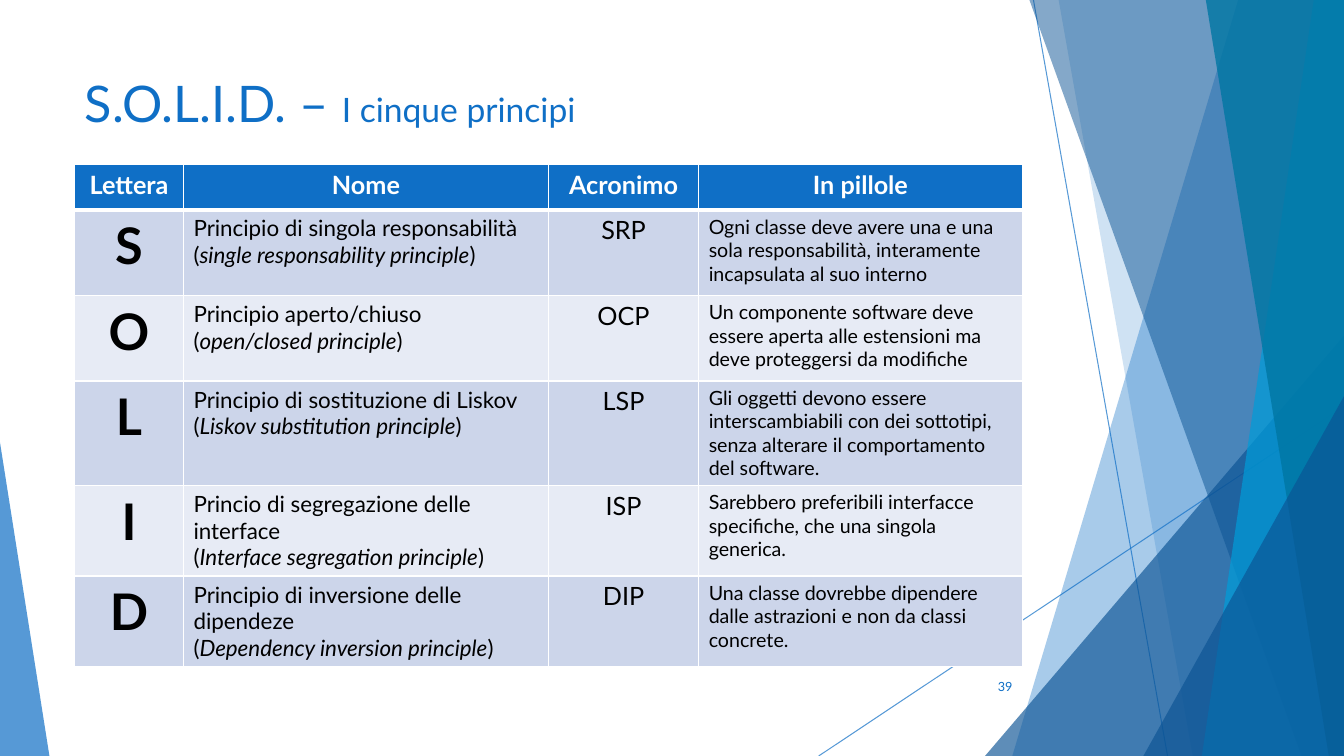
"""Build the slide that lists the five S.O.L.I.D. principles."""
from dataclasses import dataclass

from lxml import etree
from pptx import Presentation
from pptx import util as u
from pptx.dml import color
from pptx.enum import shapes, text
from pptx.oxml import ns

COLORS = {"blue": "0F6FC6", "navy": "0B5394", "sky": "009DD9", "teal": "0076A3",
          "white": "FFFFFF", "black": "000000", "odd": "CCD5EA", "even": "E7EBF5"}
FONT = "Lato"
WIDTH, HEIGHT = 13.33, 7.5
LEFT, CONTENT_WIDTH = 0.74, 9.4
HEADERS = ("Lettera", "Nome", "Acronimo", "In pillole")
COLUMN_WIDTHS = (1.08, 3.62, 1.49, 3.21)
HEADER_HEIGHT, ROW_HEIGHT = 0.45, 0.85


@dataclass
class Ray:
    """A thin line across the background."""
    begin: tuple[float, float]
    end: tuple[float, float]


@dataclass
class Band:
    """A band from its top left and bottom left corners to the right edge."""
    top: float
    bottom: float
    color: str
    opacity: int


@dataclass
class Wedge:
    """A triangle standing on the bottom edge."""
    left: float
    top: float
    width: float
    apex: float
    color: str
    opacity: int


@dataclass
class Principle:
    """One row of the table."""
    letter: str
    name: str
    english: str
    acronym: str
    summary: str


BACKGROUND = (
    Ray((10.25, 0), (11.58, HEIGHT)),
    Ray((WIDTH, 4.03), (8.12, HEIGHT)),
    Band(12.28, 10.04, "blue", 36),
    Band(10.5, 11.83, "blue", 20),
    Wedge(9.77, 3.33, 3.56, 1, "navy", 66),
    Band(10.21, 12.91, "navy", 50),
    Band(13.03, 11.92, "sky", 70),
    Band(11.96, 13.18, "teal", 80),
    Wedge(11.34, 3.93, 1.99, 1, "navy", 66),
    Wedge(0, 4.39, 0.49, 0, "blue", 70),
)
PRINCIPLES = (
    Principle("S", "Principio di singola responsabilità", "single responsability principle", "SRP",
              "Ogni classe deve avere una e una sola responsabilità, interamente "
              "incapsulata al suo interno"),
    Principle("O", "Principio aperto/chiuso", "open/closed principle", "OCP",
              "Un componente software deve essere aperta alle estensioni ma deve "
              "proteggersi da modifiche"),
    Principle("L", "Principio di sostituzione di Liskov", "Liskov substitution principle", "LSP",
              "Gli oggetti devono essere interscambiabili con dei sottotipi, senza "
              "alterare il comportamento del software."),
    Principle("I", "Princio di segregazione delle interface", "Interface segregation principle",
              "ISP", "Sarebbero preferibili interfacce specifiche, che una singola generica."),
    Principle("D", "Principio di inversione delle dipendeze", "Dependency inversion principle",
              "DIP", "Una classe dovrebbe dipendere dalle astrazioni e non da classi concrete."),
)


def rgb(name: str) -> color.RGBColor:
    """Return a named colour."""
    return color.RGBColor.from_string(COLORS[name])


def set_opacity(shape, percent: int) -> None:
    """Make the colours of a shape see-through."""
    for element in shape.element.spPr.iter(ns.qn("a:srgbClr")):
        etree.SubElement(element, ns.qn("a:alpha"), val=str(percent * 1000))


def draw_ray(slide, ray: Ray) -> None:
    """Draw a thin background line."""
    points = [u.Inches(value) for value in ray.begin + ray.end]
    connector = slide.shapes.add_connector(shapes.MSO_CONNECTOR.STRAIGHT, *points)
    connector.line.color.rgb = rgb("blue")
    connector.line.width = u.Pt(0.75)
    set_opacity(connector, 70)
    etree.SubElement(connector.element.spPr, ns.qn("a:effectLst"))


def draw_facet(slide, facet: Band | Wedge) -> None:
    """Draw a see-through background band or triangle."""
    if isinstance(facet, Band):
        corners = [(WIDTH, 0), (WIDTH, HEIGHT), (facet.bottom, HEIGHT)]
        builder = slide.shapes.build_freeform(u.Inches(facet.top), 0)
        builder.add_line_segments([(u.Inches(x), u.Inches(y)) for x, y in corners])
        shape = builder.convert_to_shape()
    else:
        shape = slide.shapes.add_shape(
            shapes.MSO_SHAPE.ISOSCELES_TRIANGLE, u.Inches(facet.left), u.Inches(facet.top),
            u.Inches(facet.width), u.Inches(HEIGHT - facet.top))
        shape.adjustments[0] = facet.apex
    shape.shadow.inherit = False
    shape.fill.solid()
    shape.fill.fore_color.rgb = rgb(facet.color)
    shape.line.fill.background()
    set_opacity(shape, facet.opacity)


def add_run(paragraph, words: str, size: float, color_name: str,
            bold: bool = False, italic: bool = False) -> None:
    """Add a formatted run to a paragraph."""
    run = paragraph.add_run()
    run.text = words
    run.font.name = FONT
    run.font.size = u.Pt(size)
    run.font.bold = bold
    run.font.italic = italic
    run.font.color.rgb = rgb(color_name)


def style_cell(cell, fill: str, top: float, bottom: float) -> None:
    """Fill a cell and give it white borders."""
    cell.fill.solid()
    cell.fill.fore_color.rgb = rgb(fill)
    properties = cell._tc.get_or_add_tcPr()
    widths = {"lnL": 1, "lnR": 1, "lnT": top, "lnB": bottom}
    for index, (side, width) in enumerate(widths.items()):
        border = etree.Element(ns.qn(f"a:{side}"), w=str(u.Pt(width)))
        solid = etree.SubElement(border, ns.qn("a:solidFill"))
        etree.SubElement(solid, ns.qn("a:srgbClr"), val=COLORS["white"])
        properties.insert(index, border)


def draw_table(slide) -> None:
    """Draw the table of principles."""
    height = HEADER_HEIGHT + ROW_HEIGHT * len(PRINCIPLES)
    table = slide.shapes.add_table(
        len(PRINCIPLES) + 1, len(HEADERS), u.Inches(LEFT), u.Inches(1.63),
        u.Inches(CONTENT_WIDTH), u.Inches(height)).table
    for column, width in zip(table.columns, COLUMN_WIDTHS):
        column.width = u.Inches(width)
    for index, row in enumerate(table.rows):
        row.height = u.Inches(ROW_HEIGHT if index else HEADER_HEIGHT)
        fill = ("even", "odd")[index % 2] if index else "blue"
        for cell in row.cells:
            style_cell(cell, fill, 3 if index == 1 else 1, 1 if index else 3)
    for cell, header in zip(table.rows[0].cells, HEADERS):
        paragraph = cell.text_frame.paragraphs[0]
        paragraph.alignment = text.PP_ALIGN.CENTER
        add_run(paragraph, header, 18, "white", bold=True)
    for index, principle in enumerate(PRINCIPLES, start=1):
        letter, name, acronym, summary = (
            cell.text_frame.paragraphs[0] for cell in table.rows[index].cells)
        letter.alignment = acronym.alignment = text.PP_ALIGN.CENTER
        add_run(letter, principle.letter, 36, "black", bold=True)
        add_run(name, principle.name, 16, "black")
        name.add_line_break()
        add_run(name, "(", 16, "black")
        add_run(name, principle.english, 16, "black", italic=True)
        add_run(name, ")", 16, "black")
        add_run(acronym, principle.acronym, 18, "black")
        add_run(summary, principle.summary, 14, "black")


def main() -> None:
    """Build and save the presentation."""
    presentation = Presentation()
    presentation.slide_width, presentation.slide_height = u.Inches(WIDTH), u.Inches(HEIGHT)
    slide = presentation.slides.add_slide(presentation.slide_layouts[5])
    for item in BACKGROUND:
        if isinstance(item, Ray):
            draw_ray(slide, item)
        else:
            draw_facet(slide, item)

    title = slide.shapes.title
    title.left, title.top = u.Inches(LEFT), u.Inches(0.67)
    title.width, title.height = u.Inches(CONTENT_WIDTH), u.Inches(1.44)
    title.text_frame.vertical_anchor = text.MSO_ANCHOR.TOP
    heading = title.text_frame.paragraphs[0]
    heading.alignment = text.PP_ALIGN.LEFT
    add_run(heading, "S.O.L.I.D. – ", 36, "blue")
    add_run(heading, "I cinque principi", 24, "blue")

    number = slide.shapes.add_textbox(u.Inches(9.39), u.Inches(6.61), u.Inches(0.75), u.Inches(0.4))
    number.text_frame.word_wrap = True
    number.text_frame.vertical_anchor = text.MSO_ANCHOR.MIDDLE
    number.text_frame.paragraphs[0].alignment = text.PP_ALIGN.RIGHT
    add_run(number.text_frame.paragraphs[0], "39", 9, "blue")
    draw_table(slide)
    presentation.save("out.pptx")


if __name__ == "__main__":
    main()
